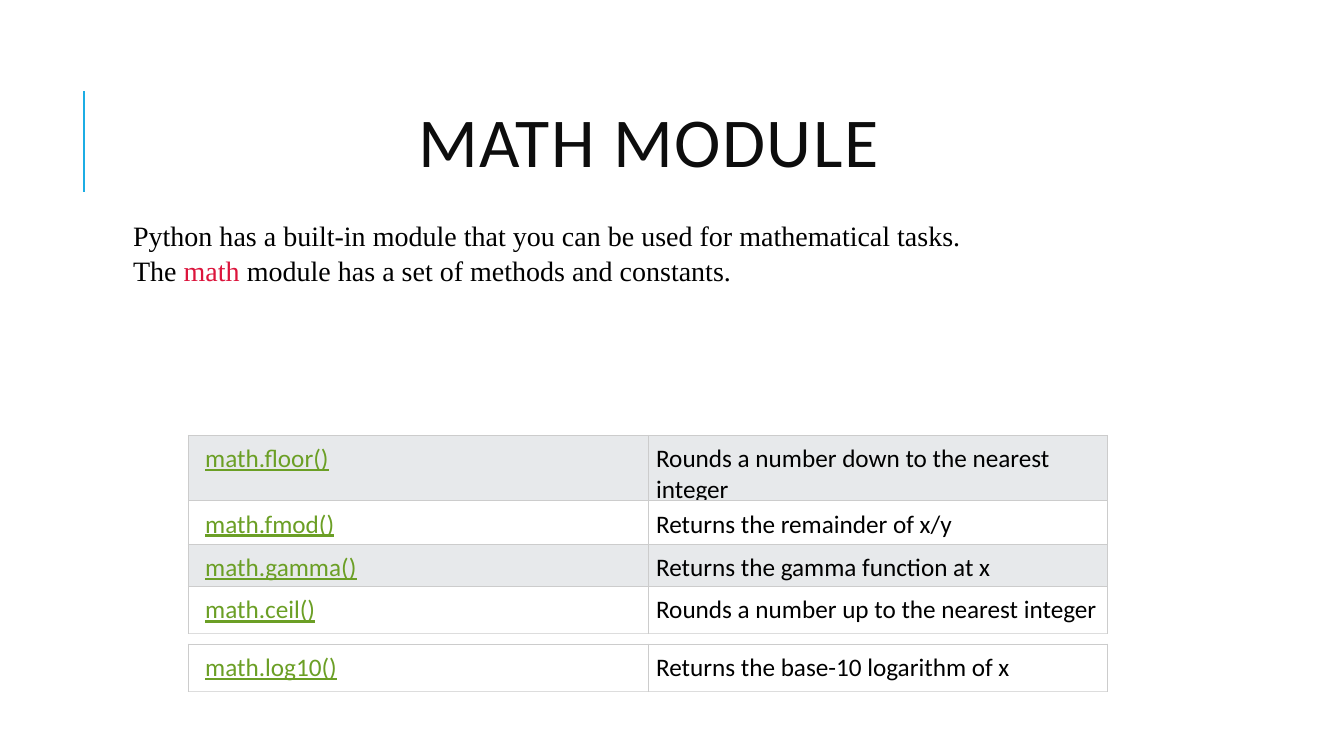
from lxml.etree import SubElement
from pptx import Presentation
from pptx.dml.color import RGBColor
from pptx.enum.shapes import MSO_CONNECTOR as LINE, MSO_SHAPE as SHAPE
from pptx.enum.text import MSO_ANCHOR as ANCHOR, PP_ALIGN as ALIGN
from pptx.oxml.ns import qn
from pptx.util import Pt

TITLE = "MATH MODULE"
INTRO = [
    [("Python has a built-in module that you can be used for mathematical tasks.", "000000")],
    [("The\u00a0", "000000"), ("math", "DC143C"),
     ("\u00a0module has a set of methods and constants.", "000000")],
]
# top, height, fill, method, meaning
METHODS = [
    (311, 55.4, "E7E9EB", "math.floor()", "Rounds a number down to the nearest integer"),
    (357.8, 33.8, "FFFFFF", "math.fmod()", "Returns the remainder of x/y"),
    (388.6, 33.8, "E7E9EB", "math.gamma()", "Returns the gamma function at x"),
    (419, 33.8, "FFFFFF", "math.ceil()", "Rounds a number up to the nearest integer"),
    (460, 33.8, "FFFFFF", "math.log10()", "Returns the base-10 logarithm of x"),
]
LEFT, COL = 134.6, 328.3
EDGES = {"a:lnL": "CCCCCC", "a:lnR": "CCCCCC", "a:lnT": "CCCCCC", "a:lnB": "DDDDDD"}
HEAD = {"name": "Calibri", "size": Pt(50), "bold": False}
BODY = {"name": "Times New Roman", "size": Pt(20)}
LINK = {"name": "Calibri", "size": Pt(18), "underline": True}
CELL = {"name": "Calibri", "size": Pt(18), "underline": False}


def rgb(code):
    return RGBColor.from_string(code)


def put(para, text, font, color):
    """Add a formatted run to a paragraph."""
    run = para.add_run()
    run.text = text
    for key, value in font.items():
        setattr(run.font, key, value)
    run.font.color.rgb = rgb(color)
    return run


def frame(cell):
    """Draw the four borders of a cell."""
    props = cell._tc.get_or_add_tcPr()
    for spot, (tag, color) in enumerate(EDGES.items()):
        edge = SubElement(props, qn(tag), w=str(Pt(0.75)))
        fill = SubElement(edge, qn("a:solidFill"))
        SubElement(fill, qn("a:srgbClr"), val=color)
        props.insert(spot, edge)


def add_row(slide, top, height, fill, method, meaning):
    """Add a table of one row: method and meaning."""
    table = slide.shapes.add_table(
        1, 2, Pt(LEFT), Pt(top), Pt(2 * COL), Pt(height)).table
    table.first_row = table.horz_banding = False
    parts = [(method, LINK, "6B9F25", 12), (meaning, CELL, "000000", 5.8)]
    for col, (text, font, color, inset) in enumerate(parts):
        cell = table.cell(0, col)
        cell.margin_left = Pt(inset)
        cell.margin_top = cell.margin_right = cell.margin_bottom = Pt(5.8)
        cell.fill.solid()
        cell.fill.fore_color.rgb = rgb(fill)
        put(cell.text_frame.paragraphs[0], text, font, color)
        frame(cell)


def main():
    deck = Presentation()
    deck.slide_width, deck.slide_height = Pt(960), Pt(540)
    slide = deck.slides.add_slide(deck.slide_layouts[5])

    bar = slide.shapes.add_connector(LINE.STRAIGHT, Pt(60), Pt(136.8), Pt(60), Pt(64.8))
    bar.line.color.rgb = rgb("1CADE4")
    bar.line.width = Pt(1.5)
    SubElement(bar._element.spPr, qn("a:effectLst"))

    title = slide.shapes.title
    title.left, title.top, title.width, title.height = Pt(80.6), Pt(46), Pt(765.4), Pt(118)
    title.text_frame.vertical_anchor = ANCHOR.MIDDLE
    para = title.text_frame.paragraphs[0]
    para.alignment, para.line_spacing = ALIGN.CENTER, 0.8
    run = put(para, TITLE, HEAD, "0D0D0D")
    run.font._element.set("spc", "100")

    intro = slide.shapes.add_shape(SHAPE.RECTANGLE, Pt(88), Pt(149.8), Pt(751), Pt(104.4))
    intro.shadow.inherit = False
    intro.fill.solid()
    intro.fill.fore_color.rgb = rgb("FFFFFF")
    intro.line.fill.background()
    text = intro.text_frame
    text.word_wrap = True
    text.vertical_anchor = ANCHOR.TOP
    text.margin_top = Pt(6)
    for num, runs in enumerate(INTRO):
        para = text.add_paragraph() if num else text.paragraphs[0]
        para.alignment, para.space_after = ALIGN.LEFT, Pt(1)
        for words, color in runs:
            put(para, words, BODY, color)

    for row in METHODS:
        add_row(slide, *row)
    deck.save("out.pptx")


if __name__ == "__main__":
    main()
